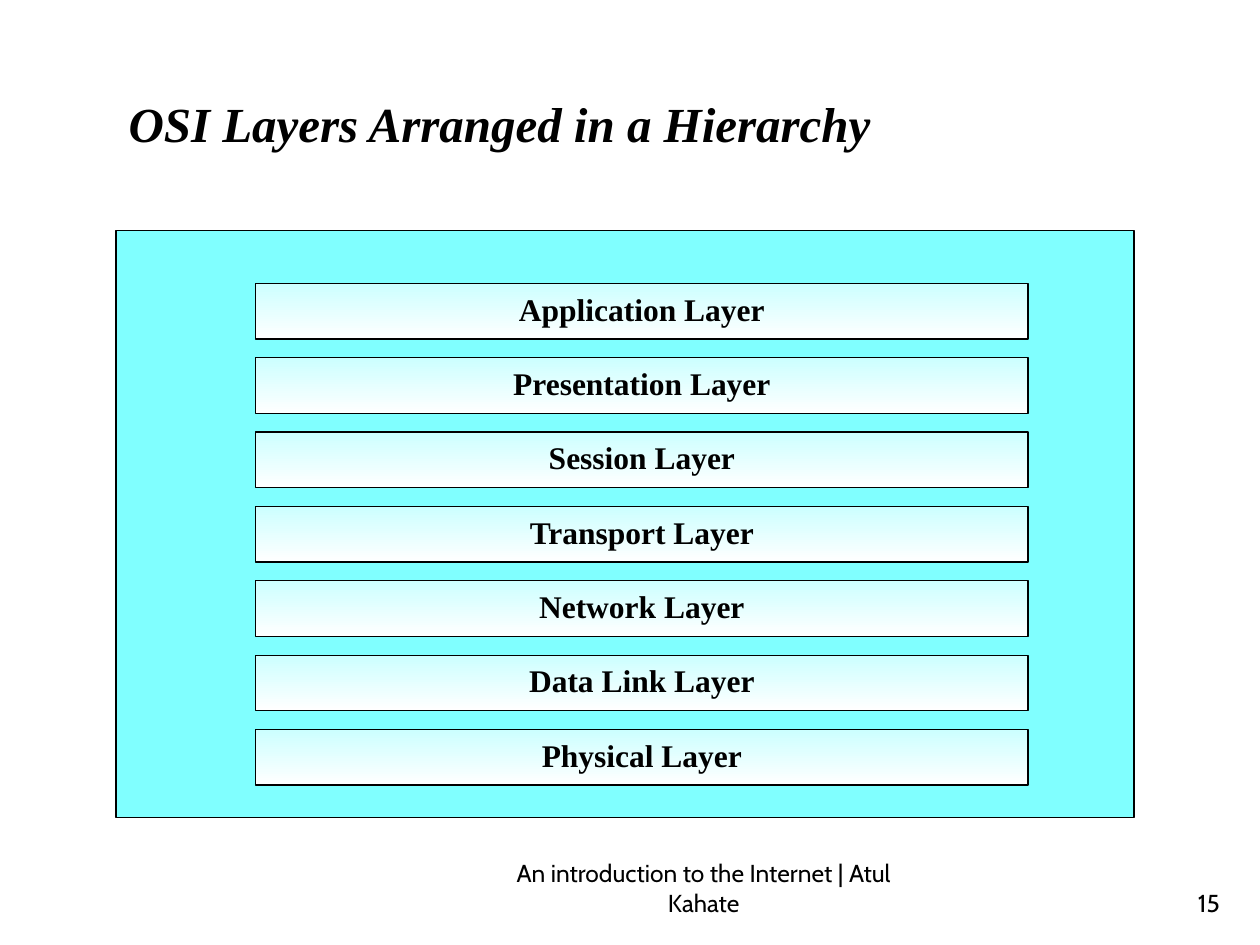
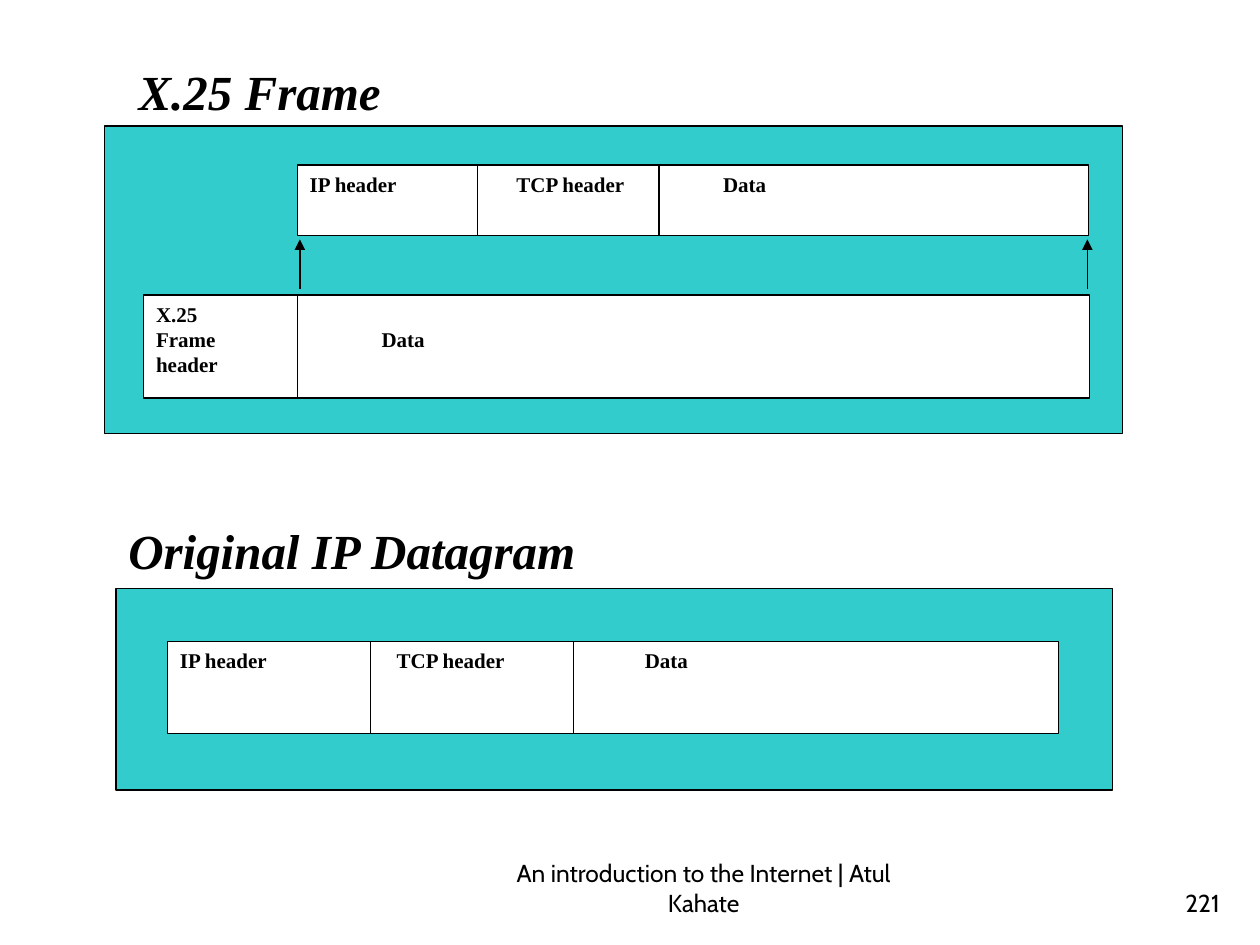
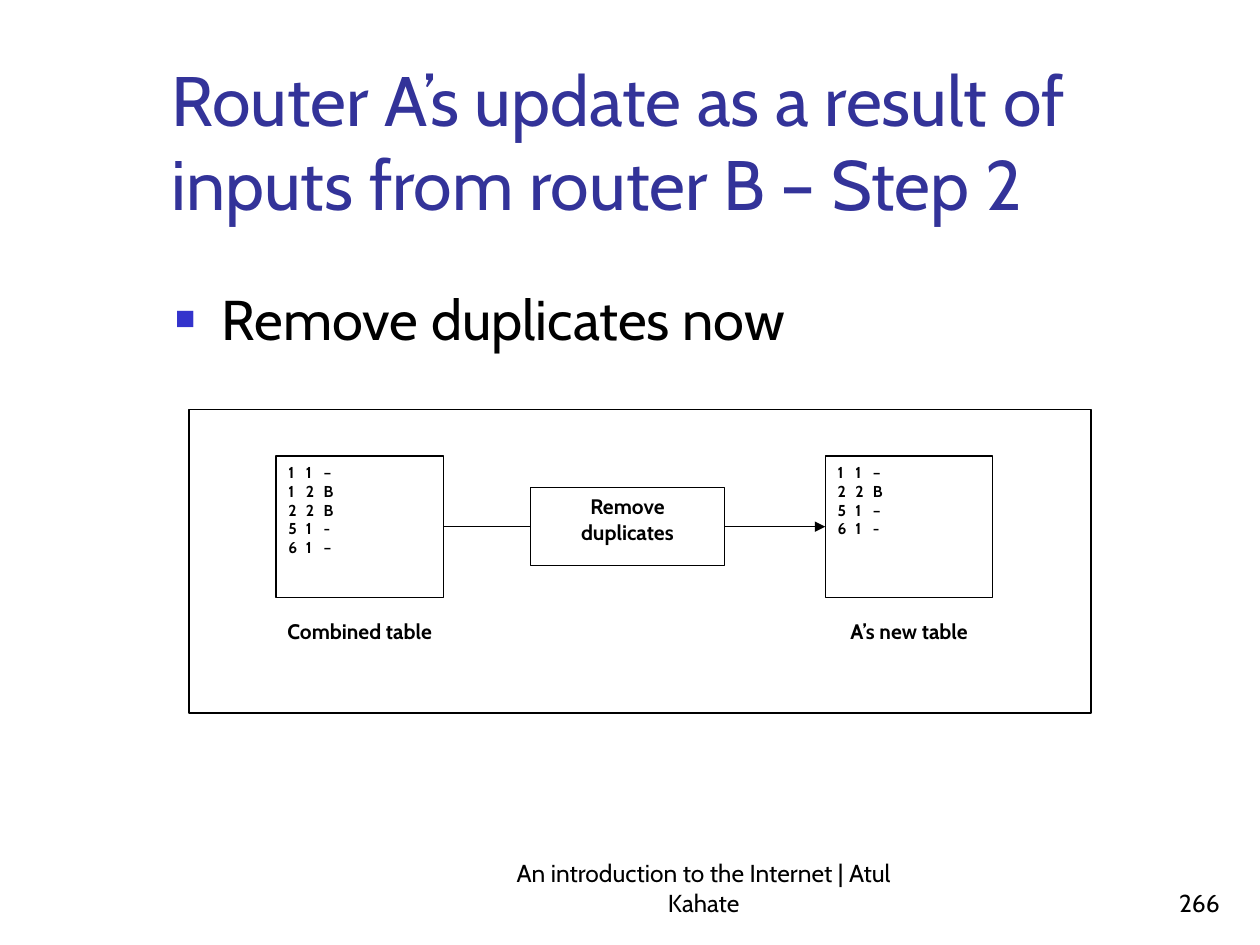
"""Build three networking slides: OSI layers, X.25 framing and a router table update."""
from lxml.etree import SubElement
from pptx import Presentation
from pptx.dml.color import RGBColor
from pptx.enum.shapes import MSO_CONNECTOR, MSO_SHAPE
from pptx.enum.text import MSO_ANCHOR, MSO_AUTO_SIZE, PP_ALIGN
from pptx.oxml.ns import qn
from pptx.util import Inches, Pt

SERIF, SANS = "Times New Roman", "Cabin"
BLACK, WHITE, TEAL, AQUA = "000000", "FFFFFF", "33CCCC", "80FFFF"
PALE_AQUA, NAVY, BULLET_BLUE = "CCFFFF", "333399", "3333CC"
HEADING = dict(size=28, font=SERIF, bold=True, italic=True)
FIELD = dict(size=12, font=SERIF, bold=True)
LABEL = dict(size=12, font=SANS, bold=True, align=PP_ALIGN.CENTER)
FOOTER = dict(size=14, font=SANS, anchor=MSO_ANCHOR.BOTTOM)

deck = Presentation()
deck.slide_width, deck.slide_height = Inches(10), Inches(7.5)
column, row = deck.slide_width / 100, deck.slide_height / 75
color = RGBColor.from_string


def write(shape, text, size, font, bold=False, italic=False, ink=BLACK,
          align=PP_ALIGN.LEFT, anchor=MSO_ANCHOR.TOP, tabs=()):
    """Fill a shape with one paragraph per line, tab stops given in columns."""
    frame = shape.text_frame
    frame.word_wrap, frame.auto_size = True, MSO_AUTO_SIZE.NONE
    frame.vertical_anchor = anchor
    for number, line in enumerate(text.split("\n")):
        para = frame.add_paragraph() if number else frame.paragraphs[0]
        para.alignment, para.space_before = align, Pt(0)
        if tabs:
            stops = SubElement(para._p.get_or_add_pPr(), qn("a:tabLst"))
            for stop in tabs:
                SubElement(stops, qn("a:tab"), pos=str(int(stop * column)), algn="l")
        span = para.add_run()
        span.text = line
        span.font.size, span.font.name = Pt(size), font
        span.font.bold, span.font.italic = bold, italic
        span.font.color.rgb = color(ink)
    return shape


def place(page, left, top, width, height, fill=None, line=BLACK, shape=None):
    """Move a shape, or add a rectangle, at a grid position given in columns and rows."""
    area = [int(left * column), int(top * row), int(width * column), int(height * row)]
    if shape is not None:
        shape.left, shape.top, shape.width, shape.height = area
        return shape
    if fill is None:
        return page.shapes.add_textbox(*area)
    box = page.shapes.add_shape(MSO_SHAPE.RECTANGLE, *area)
    box.shadow.inherit = False
    box.fill.solid()
    box.fill.fore_color.rgb = color(fill)
    if line:
        box.line.color.rgb, box.line.width = color(line), Pt(0.75)
    else:
        box.line.fill.background()
    return box


osi, x25, router = [deck.slides.add_slide(deck.slide_layouts[index]) for index in (5, 5, 1)]
lines = []

write(place(osi, 9.2, 6.9, 80, 10.4, shape=osi.shapes.title),
      "OSI Layers Arranged in a Hierarchy", **HEADING)
place(osi, 9.2, 18.3, 80.8, 46.6, AQUA)
layers = ["Application", "Presentation", "Session", "Transport",
          "Network", "Data Link", "Physical"]
for position, layer in enumerate(layers):
    box = place(osi, 20.3, 22.5 + 5.9 * position, 61.3, 4.4, WHITE)
    box.fill.gradient()
    box.fill.gradient_angle = 270
    for stop, shade in zip(box.fill.gradient_stops, (PALE_AQUA, WHITE)):
        stop.color.rgb = color(shade)
    write(box, f"{layer} Layer", 18, SERIF, bold=True, align=PP_ALIGN.CENTER)

write(place(x25, 10, 4.4, 60, 5.7, shape=x25.shapes.title), "X.25 Frame", **HEADING)
write(place(x25, 9.2, 40.8, 60, 5.7), "Original IP Datagram", **HEADING)
place(x25, 8.3, 10, 80.8, 24.4, TEAL)
place(x25, 9.2, 46.7, 79.1, 16, TEAL)
packets = [
    (23.6, 13.1, 62.8, 5.6, "IP header\tTCP header\tData", (16.4, 32.8), (14.3, 28.7)),
    (11.4, 23.4, 75.1, 8.2, "X.25\nFrame\tData\nheader", (17.9,), (12.2,)),
    (13.3, 50.9, 70.7, 7.3, "IP header\tTCP header\tData", (17.2, 36.9), (16.1, 32.2)),
]
for left, top, width, height, fields, tabs, dividers in packets:
    write(place(x25, left, top, width, height, WHITE), fields, tabs=tabs, **FIELD)
    for offset in dividers:
        lines.append((x25, left + offset, top, left + offset, top + height, False, None))
for edge in (23.8, 86.3):
    lines.append((x25, edge, 22.9, edge, 19, True, None))

write(place(router, 12.6, 2.3, 85.2, 16, shape=router.shapes.title),
      "Router A’s update as a result of inputs from router B – Step 2",
      40, SANS, ink=NAVY, anchor=MSO_ANCHOR.BOTTOM)
body = write(place(router, 12.9, 22.1, 85, 45, shape=router.placeholders[1]),
             "Remove duplicates now", 32, SANS)
bullet = body.text_frame.paragraphs[0]._p.get_or_add_pPr()
bullet.set("marL", str(Inches(0.37)))
bullet.set("indent", str(Inches(-0.37)))
SubElement(SubElement(bullet, qn("a:buClr")), qn("a:srgbClr"), val=BULLET_BLUE)
SubElement(bullet, qn("a:buSzPct"), val="60000")
SubElement(bullet, qn("a:buChar"), char="■")

place(router, 15, 32.5, 71.6, 24.1, WHITE)
routes = [
    (21.9, "1\t1\t–\n1\t2\tB\n2\t2\tB\n5\t1\t-\n6\t1\t–", "Combined table"),
    (65.5, "1\t1\t–\n2\t2\tB\n5\t1\t–\n6\t1\t-", "A’s new table"),
]
tables = []
for left, entries, caption in routes:
    tables.append(write(place(router, left, 36.2, 13.3, 11.2, WHITE),
                        entries, 9, SANS, bold=True, tabs=(1.4, 2.8)))
    write(place(router, left - 0.6, 48.6, 14.5, 5.9, WHITE, line=None), caption, **LABEL)
step = write(place(router, 42.1, 38.7, 15.4, 6.2, WHITE), "Remove duplicates", **LABEL)
lines.append((router, 35.2, 41.8, 42.1, 41.8, False, (tables[0], step)))
lines.append((router, 57.5, 41.8, 65.5, 41.8, True, (step, tables[1])))

for page, start_x, start_y, end_x, end_y, arrow, joined in lines:
    connector = page.shapes.add_connector(
        MSO_CONNECTOR.STRAIGHT, int(start_x * column), int(start_y * row),
        int(end_x * column), int(end_y * row))
    if joined:
        connector.begin_connect(joined[0], 3)
        connector.end_connect(joined[1], 1)
    connector.line.color.rgb, connector.line.width = color(BLACK), Pt(0.75)
    if arrow:
        SubElement(connector.line._get_or_add_ln(), qn("a:tailEnd"), type="triangle")
    SubElement(connector._element.spPr, qn("a:effectLst"))

for page, number in ((osi, "15"), (x25, "221"), (router, "266")):
    write(place(page, 40, 68.3, 31.7, 5), "An introduction to the Internet | Atul Kahate",
          align=PP_ALIGN.CENTER, **FOOTER)
    write(place(page, 77, 68.3, 20.8, 5), number, align=PP_ALIGN.RIGHT, **FOOTER)

deck.save("out.pptx")
